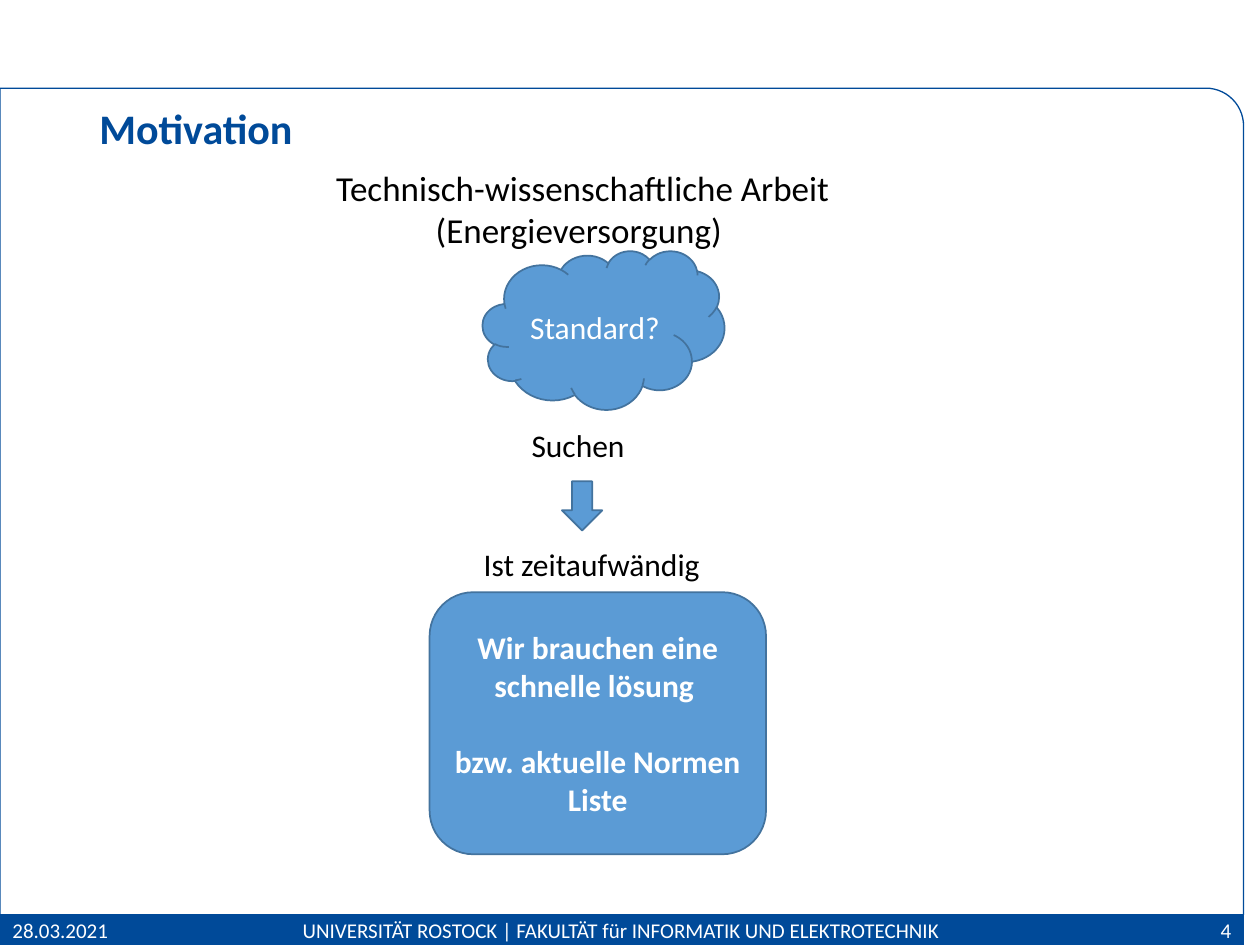
import math

from pptx import Presentation
from pptx.dml.color import RGBColor
from pptx.enum import shapes, text
from pptx.util import Inches, Pt

NAVY = RGBColor(0x00, 0x4A, 0x99)
BLUE = RGBColor(0x5B, 0x9B, 0xD5)
BLUE_EDGE = RGBColor(0x43, 0x73, 0x9E)
WHITE = RGBColor(0xFF, 0xFF, 0xFF)
BLACK = RGBColor(0x00, 0x00, 0x00)

LEFT, CENTER, RIGHT = text.PP_ALIGN.LEFT, text.PP_ALIGN.CENTER, text.PP_ALIGN.RIGHT
TOP, MIDDLE = text.MSO_ANCHOR.TOP, text.MSO_ANCHOR.MIDDLE
FRAME_RIGHT, FRAME_TOP, FOOTER_TOP, FOOTER_HEIGHT = 9.87, 0.7, 7.26, 0.24

prs = Presentation()
prs.slide_width, prs.slide_height = Inches(10), Inches(7.5)
slide = prs.slides.add_slide(prs.slide_layouts[6])


def write(shape, lines, size, color, align=CENTER, bold=False, anchor=MIDDLE, wrap=True):
    frame = shape.text_frame
    frame.word_wrap = wrap
    frame.vertical_anchor = anchor
    for i, line in enumerate(lines):
        paragraph = frame.add_paragraph() if i else frame.paragraphs[0]
        paragraph.alignment = align
        run = paragraph.add_run()
        run.text = line
        run.font.name, run.font.size, run.font.bold = "Calibri", Pt(size), bold
        run.font.color.rgb = color
    return frame


def add_figure(preset, box, fill=BLUE, edge=BLUE_EDGE, width=1):
    figure = slide.shapes.add_shape(preset, *map(Inches, box))
    figure.shadow.inherit = False
    figure.fill.solid()
    figure.fill.fore_color.rgb = fill
    figure.line.color.rgb = edge
    figure.line.width = Pt(width)
    return figure


# Footer bar
add_figure(shapes.MSO_SHAPE.RECTANGLE, (0, FOOTER_TOP, FRAME_RIGHT, FOOTER_HEIGHT), NAVY, NAVY, 0.75)

# Page frame with a rounded top right corner
RADIUS, STEPS = 0.3, 14
corner = []
for step in range(STEPS + 1):
    angle = math.pi / 2 * step / STEPS
    corner.append((FRAME_RIGHT - RADIUS + RADIUS * math.sin(angle),
                   FRAME_TOP + RADIUS - RADIUS * math.cos(angle)))
outline = corner + [(FRAME_RIGHT, FOOTER_TOP), (0, FOOTER_TOP)]
builder = slide.shapes.build_freeform(0, Inches(FRAME_TOP))
builder.add_line_segments([(Inches(x), Inches(y)) for x, y in outline], close=True)
page_frame = builder.convert_to_shape()
page_frame.shadow.inherit = False
page_frame.fill.background()
page_frame.line.color.rgb = NAVY
page_frame.line.width = Pt(0.75)

# Title
title = slide.shapes.add_textbox(Inches(0.69), Inches(0.72), Inches(8.62), Inches(0.64))
write(title, ["Motivation"], 24, NAVY, LEFT, bold=True).paragraphs[0].line_spacing = 0.9

# Footer texts
for left, width, align, wording in [
    (0, 1.01, LEFT, "28.03.2021"),
    (1.77, 6.32, CENTER, "UNIVERSITÄT ROSTOCK | FAKULTÄT für INFORMATIK UND ELEKTROTECHNIK"),
    (8.86, 1.01, RIGHT, "4"),
]:
    footer = slide.shapes.add_textbox(Inches(left), Inches(FOOTER_TOP), Inches(width), Inches(FOOTER_HEIGHT))
    write(footer, [wording], 12, WHITE, align)

# Captions between the figures
for box, lines, size, align in [
    ((2.53, 1.27, 4.19, 1.08), ["Technisch-wissenschaftliche Arbeit", "(Energieversorgung) "], 20, CENTER),
    ((4.12, 3.33, 1.01, 0.4), ["Suchen"], 18, LEFT),
    ((3.74, 4.28, 1.99, 0.4), ["Ist zeitaufwändig"], 18, LEFT),
]:
    caption = slide.shapes.add_textbox(*map(Inches, box))
    write(caption, lines, size, BLACK, align, anchor=TOP, wrap=False)

# Question cloud, arrow and conclusion
question = add_figure(shapes.MSO_SHAPE.CLOUD, (3.83, 1.99, 1.92, 1.26))
write(question, ["Standard?"], 18, WHITE)

add_figure(shapes.MSO_SHAPE.DOWN_ARROW, (4.46, 3.82, 0.32, 0.39))

conclusion = add_figure(shapes.MSO_SHAPE.FLOWCHART_ALTERNATE_PROCESS, (3.41, 4.7, 2.67, 2.08))
needs = write(conclusion, ["Wir brauchen eine schnelle lösung ", "bzw. aktuelle Normen Liste"],
              18, WHITE, bold=True)
needs.paragraphs[1].space_before = Pt(22)

prs.save("out.pptx")
